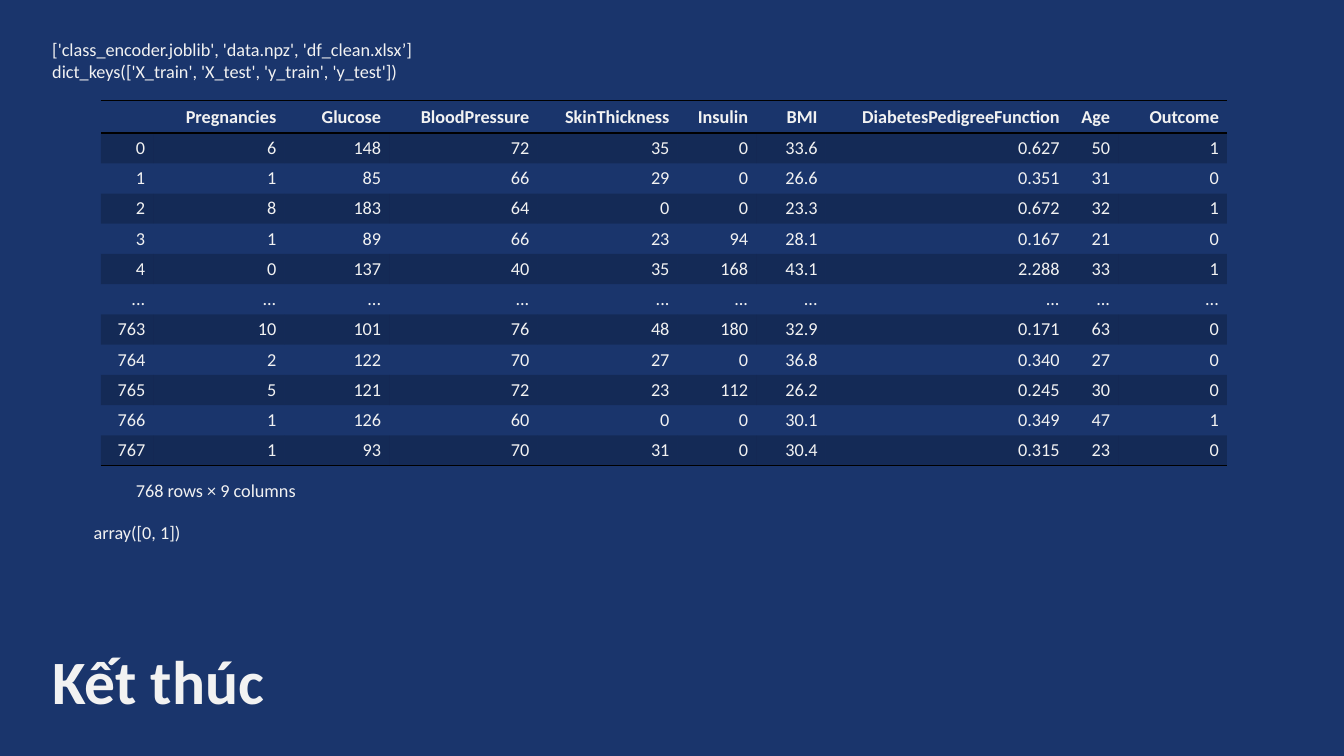
from lxml import etree
from pptx import Presentation
from pptx.dml.color import RGBColor
from pptx.enum.text import MSO_ANCHOR, PP_ALIGN
from pptx.oxml.ns import qn
from pptx.util import Pt

PX = 9144  # 100 px to the inch
RIGHT = PP_ALIGN.RIGHT
MIDDLE = MSO_ANCHOR.MIDDLE
COLORS = {"background": "1A356C", "text": "F2F2F2", "rule": "000000", "band": "000000"}
PLAIN_TABLE_STYLE = "{2D5ABB26-0587-4C30-8999-92F81FD0307C}"
BAND_ALPHA = "20000"

COLUMN_WIDTHS = [52, 130, 104, 147, 139, 78, 69, 240, 50, 108]
HEADER_HEIGHT, ROW_HEIGHT = 32, 30
PATIENTS = [
    ["", "Pregnancies", "Glucose", "BloodPressure", "SkinThickness", "Insulin", "BMI",
     "DiabetesPedigreeFunction", "Age", "Outcome"],
    ["0", "6", "148", "72", "35", "0", "33.6", "0.627", "50", "1"],
    ["1", "1", "85", "66", "29", "0", "26.6", "0.351", "31", "0"],
    ["2", "8", "183", "64", "0", "0", "23.3", "0.672", "32", "1"],
    ["3", "1", "89", "66", "23", "94", "28.1", "0.167", "21", "0"],
    ["4", "0", "137", "40", "35", "168", "43.1", "2.288", "33", "1"],
    ["..."] * len(COLUMN_WIDTHS),
    ["763", "10", "101", "76", "48", "180", "32.9", "0.171", "63", "0"],
    ["764", "2", "122", "70", "27", "0", "36.8", "0.340", "27", "0"],
    ["765", "5", "121", "72", "23", "112", "26.2", "0.245", "30", "0"],
    ["766", "1", "126", "60", "0", "0", "30.1", "0.349", "47", "1"],
    ["767", "1", "93", "70", "31", "0", "30.4", "0.315", "23", "0"],
]
TEXTS = [
    (42, 33, 500, 54, 13, False, ["['class_encoder.joblib', 'data.npz', 'df_clean.xlsx’]",
                                  "dict_keys(['X_train', 'X_test', 'y_train', 'y_test'])"]),
    (125, 471, 233, 32, 13, False, ["768 rows × 9 columns"]),
    (83, 512, 133, 32, 13, False, ["array([0, 1])"]),
    (42, 633, 491, 84, 44, True, ["Kết thúc"]),
]


def style_font(paragraph, size, bold):
    paragraph.font.name = "Calibri"
    paragraph.font.size = Pt(size)
    paragraph.font.bold = bold
    paragraph.font.color.rgb = RGBColor.from_string(COLORS["text"])


def add_rules(cell, sides):
    """Draw 1 pt lines on the given sides, ahead of the cell's fill."""
    properties = cell._tc.get_or_add_tcPr()
    for position, side in enumerate(sides):
        line = etree.Element(qn(f"a:ln{side}"), w=str(Pt(1)))
        fill = etree.SubElement(line, qn("a:solidFill"))
        etree.SubElement(fill, qn("a:srgbClr"), val=COLORS["rule"])
        properties.insert(position, line)


prs = Presentation()
prs.slide_width, prs.slide_height = 1333 * PX, 750 * PX
slide = prs.slides.add_slide(prs.slide_layouts[6])
slide.background.fill.solid()
slide.background.fill.fore_color.rgb = RGBColor.from_string(COLORS["background"])

# Data table
last_row = len(PATIENTS) - 1
table = slide.shapes.add_table(
    len(PATIENTS), len(COLUMN_WIDTHS), 100 * PX, 100 * PX,
    sum(COLUMN_WIDTHS) * PX, (HEADER_HEIGHT + last_row * ROW_HEIGHT) * PX).table
table._tbl.tblPr.find(qn("a:tableStyleId")).text = PLAIN_TABLE_STYLE
table.horz_banding = False
for column, width in zip(table.columns, COLUMN_WIDTHS):
    column.width = width * PX

for r, values in enumerate(PATIENTS):
    table.rows[r].height = (ROW_HEIGHT if r else HEADER_HEIGHT) * PX
    for c, value in enumerate(values):
        cell = table.cell(r, c)
        cell.vertical_anchor = MIDDLE
        cell.margin_left = cell.margin_right = 8 * PX
        cell.margin_top = cell.margin_bottom = 4 * PX
        paragraph = cell.text_frame.paragraphs[0]
        paragraph.text = value
        paragraph.alignment = RIGHT
        style_font(paragraph, 13, r == 0)
        if r % 2:
            cell.fill.solid()
            cell.fill.fore_color.rgb = RGBColor.from_string(COLORS["band"])
            band = cell._tc.tcPr.find(".//" + qn("a:srgbClr"))
            etree.SubElement(band, qn("a:alpha"), val=BAND_ALPHA)
        else:
            cell.fill.background()
        if r == 0:
            add_rules(cell, "TB")
        elif r == last_row:
            add_rules(cell, "B")

# Console output and title
for left, top, width, height, size, bold, lines in TEXTS:
    frame = slide.shapes.add_textbox(left * PX, top * PX, width * PX, height * PX).text_frame
    frame.word_wrap = True
    frame.text = "\n".join(lines)
    for paragraph in frame.paragraphs:
        style_font(paragraph, size, bold)

prs.save("out.pptx")
